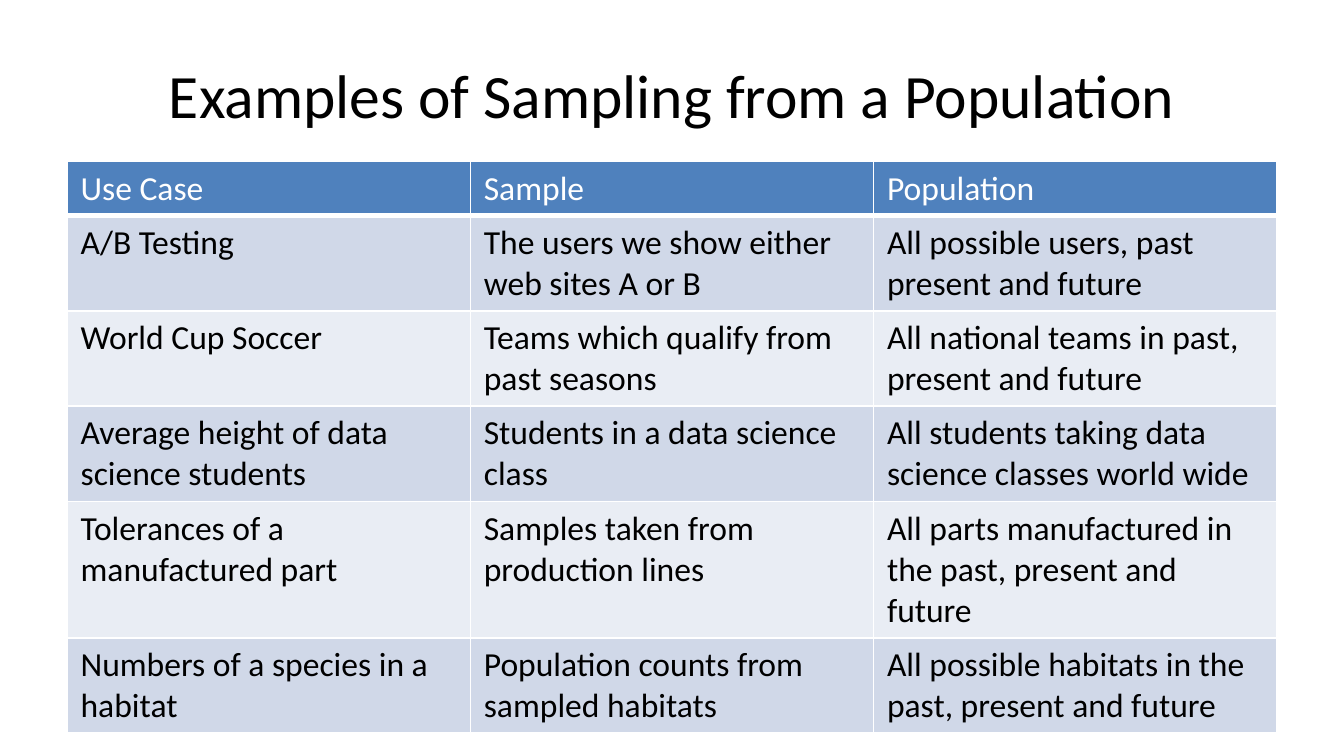
from lxml import etree
from pptx import Presentation
from pptx import util as u
from pptx.dml import color
from pptx.enum import text
from pptx.oxml import ns


def rgb(value):
    return color.RGBColor.from_string(value)


def add_text(paragraph, content, size, hex_color):
    run = paragraph.add_run()
    run.text = content
    run.font.name = "Calibri"
    run.font.size = u.Pt(size)
    run.font.color.rgb = rgb(hex_color)


presentation = Presentation()
presentation.slide_width = u.Cm(25.4)
presentation.slide_height = u.Cm(14.28)
slide = presentation.slides.add_slide(presentation.slide_layouts[6])

title = slide.shapes.add_textbox(u.Cm(1.27), u.Cm(0.58), u.Cm(22.86), u.Cm(2.39))
title.text_frame.word_wrap = True
title.text_frame.vertical_anchor = text.MSO_ANCHOR.MIDDLE
paragraph = title.text_frame.paragraphs[0]
paragraph.alignment = text.PP_ALIGN.CENTER
add_text(paragraph, "Examples of Sampling from a Population", 33, "000000")

rows = [
    ("Use Case", "Sample", "Population"),
    ("A/B Testing", "The users we show either web sites A or B",
     "All possible users, past present and future"),
    ("World Cup Soccer", "Teams which qualify from past seasons",
     "All national teams in past, present and future"),
    ("Average height of data science students", "Students in a data science class",
     "All students taking data science classes world wide"),
    ("Tolerances of a manufactured part", "Samples taken from production lines",
     "All parts manufactured in the past, present and future"),
    ("Numbers of a species in a habitat", "Population counts from sampled habitats",
     "All possible habitats in the past, present and future"),
]
row_heights = [1.02, 1.8, 1.8, 1.8, 2.58, 1.8]

table = slide.shapes.add_table(
    len(rows), 3, u.Cm(1.27), u.Cm(3.05), u.Cm(22.86), u.Cm(sum(row_heights))
).table
for column in table.columns:
    column.width = u.Cm(7.62)

for row_index, (row, height) in enumerate(zip(rows, row_heights)):
    table.rows[row_index].height = u.Cm(height)
    is_header = row_index == 0
    fill_color = "4F81BD" if is_header else ("E9EDF4", "D0D8E8")[row_index % 2]
    text_color = "FFFFFF" if is_header else "000000"
    for column_index, content in enumerate(row):
        cell = table.cell(row_index, column_index)
        add_text(cell.text_frame.paragraphs[0], content, 18, text_color)
        properties = cell._tc.get_or_add_tcPr()
        for side in ("L", "R", "T", "B"):
            width = 3 if is_header and side == "B" else 1
            border = etree.SubElement(properties, ns.qn(f"a:ln{side}"), w=str(u.Pt(width)))
            border_fill = etree.SubElement(border, ns.qn("a:solidFill"))
            etree.SubElement(border_fill, ns.qn("a:srgbClr"), val="FFFFFF")
        cell.fill.solid()
        cell.fill.fore_color.rgb = rgb(fill_color)

presentation.save("out.pptx")
